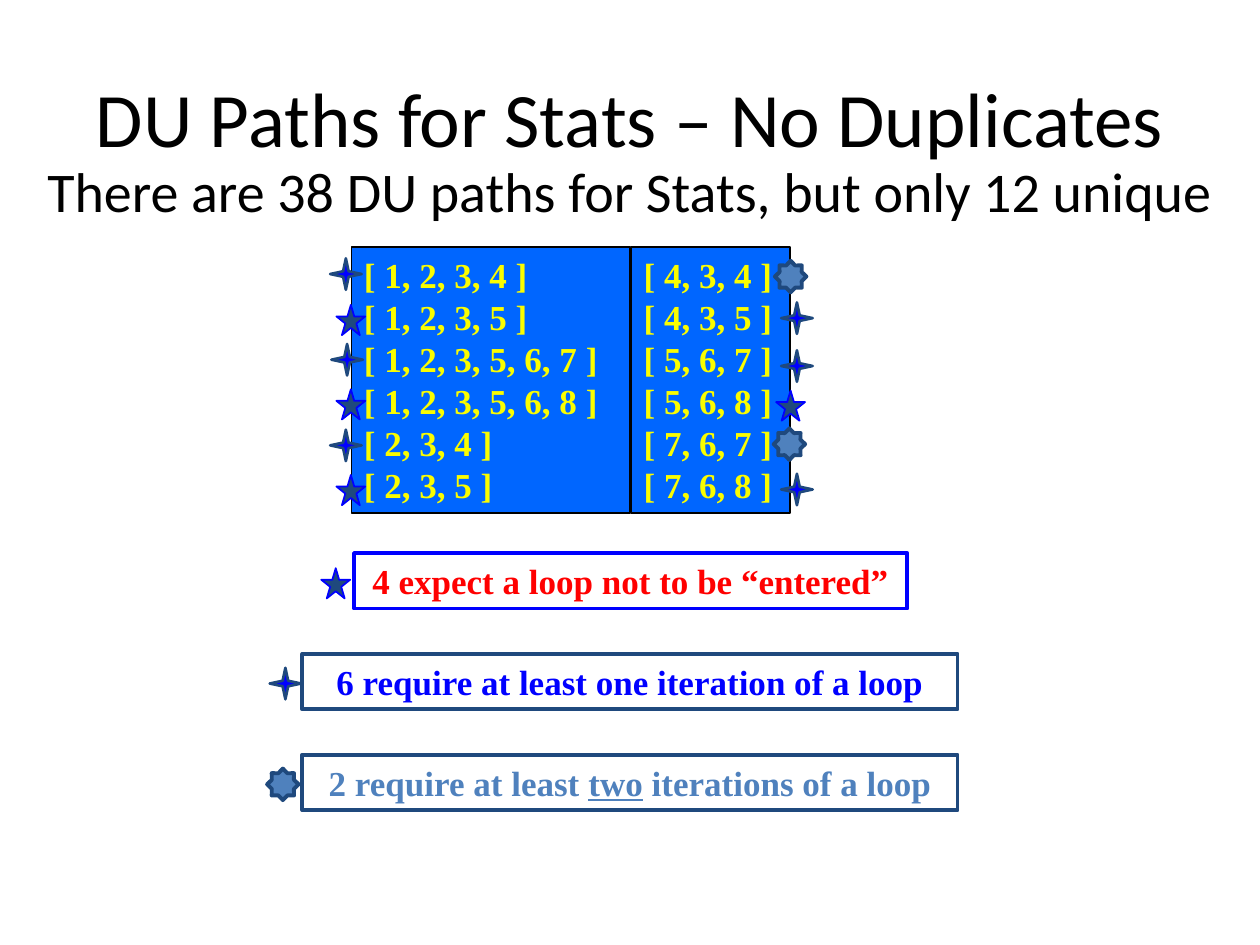
from pptx import Presentation
from pptx.dml.color import RGBColor
from pptx.enum.shapes import MSO_SHAPE as Shape
from pptx.enum.text import MSO_ANCHOR as Anchor, PP_ALIGN as Align
from pptx.util import Inches, Pt

COLORS = {
    "black": "000000", "white": "FFFFFF", "panel": "0066FF", "yellow": "FAFD00",
    "red": "FF0000", "blue": "0000FF", "navy": "1F497D", "steel": "4F81BD",
}
PATH_COLUMNS = [
    (2.79, 2.21, ["[ 1, 2, 3, 4 ]", "[ 1, 2, 3, 5 ]", "[ 1, 2, 3, 5, 6, 7 ]",
                  "[ 1, 2, 3, 5, 6, 8 ]", "[ 2, 3, 4 ]", "[ 2, 3, 5 ]"]),
    (5.01, 1.26, ["[ 4, 3, 4 ]", "[ 4, 3, 5 ]", "[ 5, 6, 7 ]",
                  "[ 5, 6, 8 ]", "[ 7, 6, 7 ]", "[ 7, 6, 8 ]"]),
]
LEGEND = [
    ("skip", 2.81, 4.39, 4.39, ["4 expect a loop not to be “entered”"], "red", "blue"),
    ("twice", 2.4, 5.99, 5.2, ["2 require at least ", "two", " iterations of a loop"],
     "steel", "navy"),
    ("once", 2.4, 5.19, 5.2, ["6 require at least one iteration of a loop"], "blue", "navy"),
]
MARKERS = {
    "skip": (Shape.STAR_5_POINT, 0.23, 0.24, None, "navy", "blue", 1),
    "twice": (Shape.STAR_8_POINT, 0.25, 0.25, 0.38, "steel", "navy", 2.25),
    "once": (Shape.STAR_4_POINT, 0.25, 0.25, 0.125, "blue", "navy", 1.5),
}
MARKER_PLACES = {
    "skip": [(2.55, 4.51), (2.67, 3.77), (2.67, 3.09), (6.16, 3.1), (2.67, 2.42)],
    "twice": [(6.15, 2.07), (6.14, 3.4), (2.12, 6.1)],
    "once": [(6.2, 2.4), (6.2, 2.78), (2.62, 3.41), (2.62, 2.05), (6.2, 3.76),
             (2.14, 5.3), (2.63, 2.73)],
}


class SlideBuilder:
    """Holds the style and the current slide, and draws each kind of element."""

    heading_font = "Calibri"
    box_font = "Times New Roman"
    box_size = 20

    def __init__(self, slide):
        self.slide = slide

    def color(self, name):
        return RGBColor.from_string(COLORS[name])

    def style_font(self, font, name, size, color, bold=False):
        font.name = name
        font.size = Pt(size)
        font.bold = bold
        font.color.rgb = self.color(color)

    def heading(self, text, left, top, width, height, size, anchor):
        shape = self.slide.shapes.add_textbox(
            Inches(left), Inches(top), Inches(width), Inches(height))
        text_frame = shape.text_frame
        text_frame.word_wrap = True
        text_frame.vertical_anchor = anchor
        text_frame.text = text
        paragraph = text_frame.paragraphs[0]
        paragraph.alignment = Align.CENTER
        self.style_font(paragraph.runs[0].font, self.heading_font, size, "black")

    def shape(self, kind, left, top, width, height, fill, line, line_width):
        shape = self.slide.shapes.add_shape(
            kind, Inches(left), Inches(top), Inches(width), Inches(height))
        shape.shadow.inherit = False
        shape.fill.solid()
        shape.fill.fore_color.rgb = self.color(fill)
        shape.line.color.rgb = self.color(line)
        shape.line.width = Pt(line_width)
        return shape

    def path_column(self, left, width, paths):
        shape = self.shape(Shape.RECTANGLE, left, 1.96, width, 2.11, "panel", "black", 1)
        text_frame = shape.text_frame
        text_frame.vertical_anchor = Anchor.TOP
        text_frame.text = "\n".join(paths)
        for paragraph in text_frame.paragraphs:
            paragraph.alignment = Align.LEFT
            paragraph.line_spacing = Pt(24)
            self.style_font(paragraph.runs[0].font, self.box_font, self.box_size, "yellow", True)

    def legend_box(self, left, top, width, parts, color, line):
        shape = self.shape(Shape.RECTANGLE, left, top, width, 0.44, "white", line, 2.25)
        shape.text_frame.vertical_anchor = Anchor.MIDDLE
        paragraph = shape.text_frame.paragraphs[0]
        paragraph.alignment = Align.CENTER
        for index, part in enumerate(parts):
            run = paragraph.add_run()
            run.text = part
            self.style_font(run.font, self.box_font, self.box_size, color, True)
            run.font.underline = index == 1

    def marker(self, name, left, top):
        kind, width, height, depth, fill, line, line_width = MARKERS[name]
        shape = self.shape(kind, left, top, width, height, fill, line, line_width)
        if depth is not None:
            shape.adjustments[0] = depth


def main():
    presentation = Presentation()
    presentation.slide_width = Inches(10)
    presentation.slide_height = Inches(7.5)
    builder = SlideBuilder(presentation.slides.add_slide(presentation.slide_layouts[6]))
    builder.heading("DU Paths for Stats – No Duplicates", 0.5, 0.3, 9, 1.25, 44, Anchor.MIDDLE)
    builder.heading("There are 38 DU paths for Stats, but only 12 unique",
                    0.15, 1.19, 9.7, 0.64, 32, Anchor.TOP)
    for column in PATH_COLUMNS:
        builder.path_column(*column)
    for name, *box in LEGEND:
        builder.legend_box(*box)
        for left, top in MARKER_PLACES[name]:
            builder.marker(name, left, top)
    presentation.save("out.pptx")


if __name__ == "__main__":
    main()
